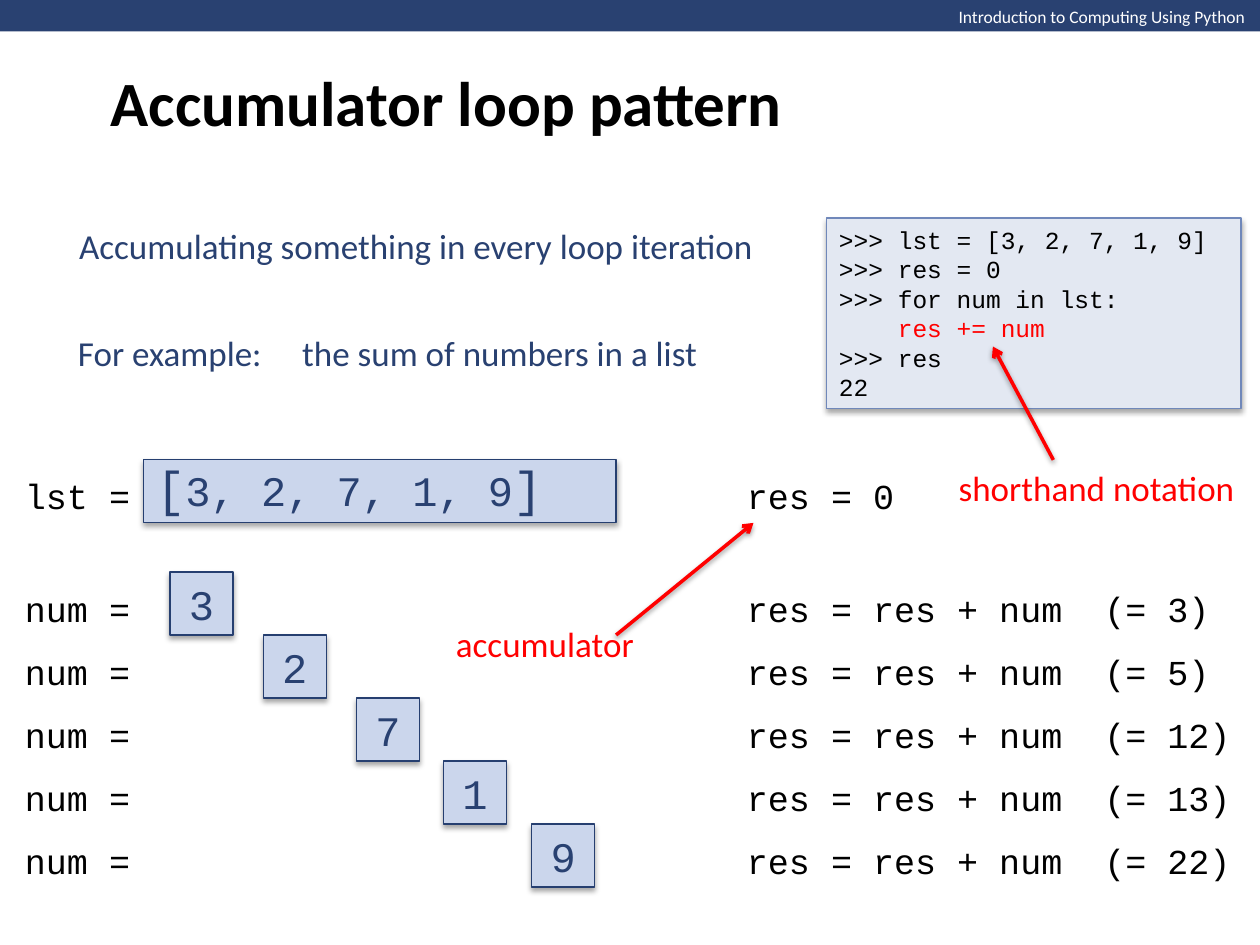
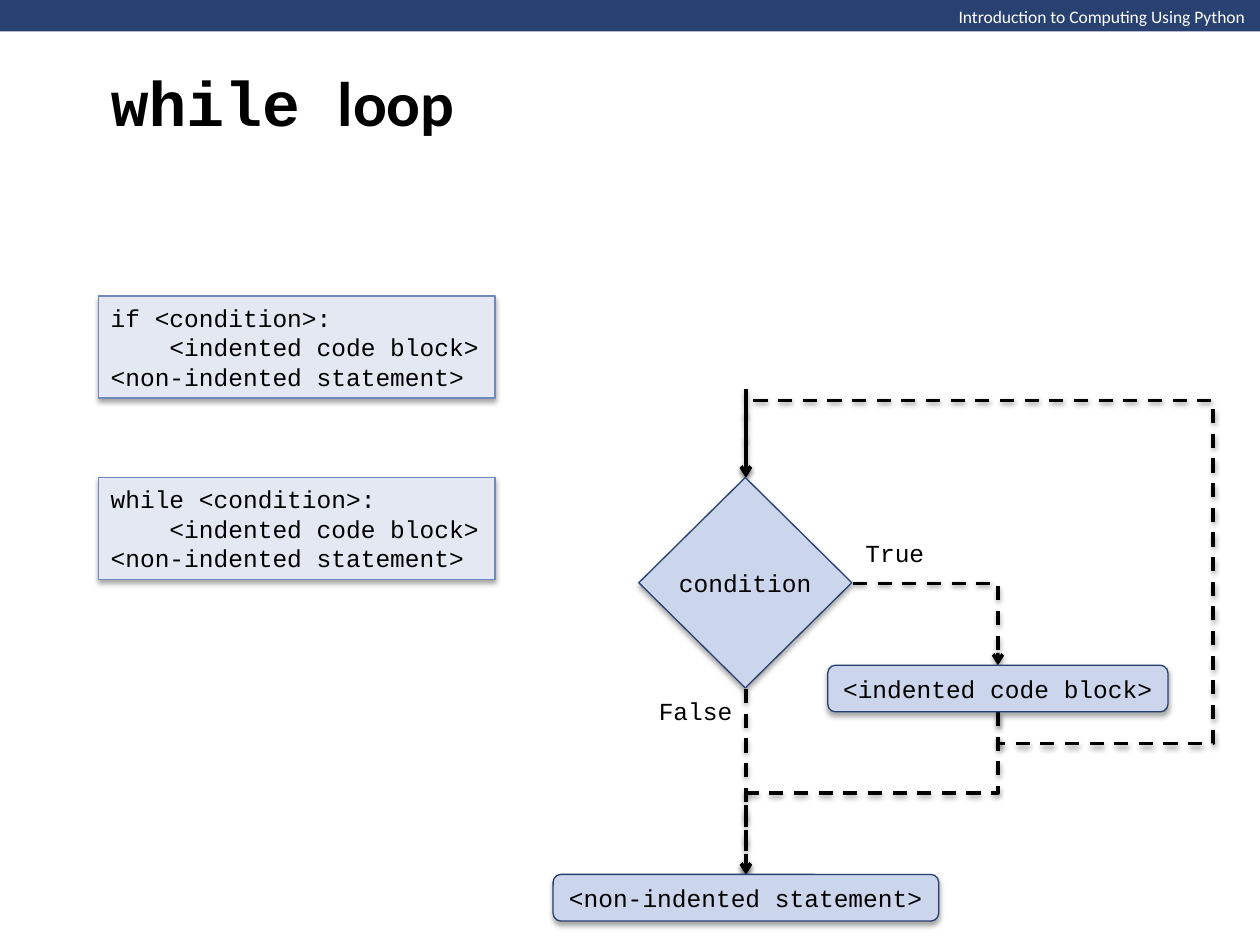
from lxml.etree import SubElement
from pptx import Presentation
from pptx.dml.color import RGBColor
from pptx.enum.dml import MSO_LINE
from pptx.enum.shapes import MSO_CONNECTOR, MSO_SHAPE
from pptx.enum.text import MSO_ANCHOR, PP_ALIGN
from pptx.oxml.ns import qn
from pptx.util import Inches, Pt

# Shared look
COLORS = {
    "navy": "294171", "box": "CBD6EC", "box_line": "263F70",
    "code": "E3E8F2", "code_line": "7088BA",
    "black": "000000", "white": "FFFFFF", "red": "FF0000",
}
SANS, MONO = "Calibri", "Courier New"
HEADER = "Introduction to Computing Using Python"

# Slide 1 content
PATTERN_TITLE = [("Accumulator loop pattern", SANS)]
INTRO = "Accumulating something in every loop iteration"
EXAMPLE = "For example:\tthe sum of numbers in a list"
LIST_RUNS = [("[", 28), ("3, 2, 7, 1, 9", 24), ("]", 28)]
SUM_CODE = [
    ">>> lst = [3, 2, 7, 1, 9]", ">>> res = 0", ">>> for num in lst:",
    "    res += num", ">>> res", "22",
]
SHORTHAND_LINE = "    res += num"
# Number, left edge of its box, running sum
STEPS = [(3, 1.35, 3), (2, 2.09, 5), (7, 2.83, 12), (1, 3.52, 13), (9, 4.22, 22)]
NOTES = [("accumulator", (3.52, 4.89, 1.63, 0.44)),
         ("shorthand notation", (7.51, 3.65, 2.41, 0.44))]
NOTE_ARROWS = [((4.89, 5.04), (5.98, 4.15)), ((8.36, 3.65), (7.88, 2.75))]

# Slide 2 content
WHILE_TITLE = [("while ", MONO), ("loop", SANS)]
BLOCK, AFTER = "<indented code block>", "<non-indented statement>"
STATEMENTS = [("if <condition>:", 2.35), ("while <condition>:", 3.79)]
NODES = [
    ("condition", MSO_SHAPE.FLOWCHART_DECISION, (5.07, 3.79, 1.69, 1.67)),
    (BLOCK, MSO_SHAPE.FLOWCHART_ALTERNATE_PROCESS, (6.57, 5.28, 2.7, 0.37)),
    (AFTER, MSO_SHAPE.FLOWCHART_ALTERNATE_PROCESS, (4.39, 6.94, 3.06, 0.37)),
]
BRANCH_LABELS = [("False", (5.13, 5.47, 0.79, 0.34)), ("True", (6.77, 4.22, 0.67, 0.34))]
ENTRY, DECISION_TOP, DECISION_BOTTOM = (5.92, 3.09), (5.92, 3.79), (5.92, 5.47)
DECISION_RIGHT, BLOCK_TOP, BLOCK_BOTTOM = (6.77, 4.63), (7.92, 5.28), (7.92, 5.65)
AFTER_TOP = (5.92, 6.94)
# Start, end, preset, rotation, mirrored, bend positions
BENT_ARROWS = [
    (BLOCK_BOTTOM, DECISION_TOP, "bentConnector5", 90, True, (-0.135, -0.854, 1.33)),
    (DECISION_RIGHT, BLOCK_TOP, "bentConnector2", 0, False, ()),
    (BLOCK_BOTTOM, AFTER_TOP, "bentConnector3", 90, False, (0.5,)),
]


def color(name):
    return RGBColor.from_string(COLORS[name])


def set_font(font, name, size, color_name, bold=False):
    font.name, font.size, font.bold = name, Pt(size), bold
    font.color.rgb = color(color_name)


def write(shape, lines, name=MONO, size=20, color_name="black", wrap=True,
          align=PP_ALIGN.LEFT, highlight=None):
    """Fill a shape with one paragraph per line."""
    frame = shape.text_frame
    frame.word_wrap = wrap
    frame.vertical_anchor = MSO_ANCHOR.MIDDLE
    for index, line in enumerate(lines):
        paragraph = frame.paragraphs[0] if index == 0 else frame.add_paragraph()
        paragraph.add_run().text = line
        paragraph.alignment = align
        set_font(paragraph.font, name, size, "red" if line == highlight else color_name)


def add_label(slide, text, place, **style):
    box = slide.shapes.add_textbox(*map(Inches, place))
    write(box, [text], **style)
    return box


def add_shadow(shape, opacity, distance):
    effects = SubElement(shape._element.spPr, qn("a:effectLst"))
    shadow = SubElement(effects, qn("a:outerShdw"), blurRad=str(Pt(3.1)),
                        dist=str(Pt(distance)), dir="5400000", rotWithShape="0")
    black = SubElement(shadow, qn("a:srgbClr"), val=COLORS["black"])
    SubElement(black, qn("a:alpha"), val=str(opacity * 1000))


def add_box(slide, place, kind=MSO_SHAPE.RECTANGLE, look="box"):
    shape = slide.shapes.add_shape(kind, *map(Inches, place))
    shape.fill.solid()
    shape.fill.fore_color.rgb = color(look)
    shape.line.color.rgb = color(look + "_line")
    shape.line.width = Pt(0.75)
    add_shadow(shape, 35, 1.8)
    return shape


def add_code(slide, place, lines, highlight=None):
    write(add_box(slide, place, look="code"), lines, size=14, highlight=highlight)


def add_arrow(slide, start, end, color_name="black", dashed=False,
              kind=MSO_CONNECTOR.STRAIGHT):
    arrow = slide.shapes.add_connector(kind, *map(Inches, start + end))
    arrow.line.color.rgb = color(color_name)
    arrow.line.width = Pt(2)
    if dashed:
        arrow.line.dash_style = MSO_LINE.DASH
    SubElement(arrow.line._get_or_add_ln(), qn("a:tailEnd"), type="arrow")
    add_shadow(arrow, 38, 1.6)
    return arrow


def add_bent_arrow(slide, start, end, preset, rotation, mirrored, bends):
    """Place the unturned frame around the midpoint, then turn and mirror it."""
    width, height = abs(end[0] - start[0]), abs(end[1] - start[1])
    if rotation:
        width, height = height, width
    left = (start[0] + end[0] - width) / 2
    top = (start[1] + end[1] - height) / 2
    arrow = add_arrow(slide, (left, top), (left + width, top + height),
                      dashed=True, kind=MSO_CONNECTOR.ELBOW)
    properties = arrow._element.spPr
    frame = properties.find(qn("a:xfrm"))
    frame.set("rot", str(rotation * 60000))
    if mirrored:
        frame.set("flipH", "1")
    geometry = properties.find(qn("a:prstGeom"))
    geometry.set("prst", preset)
    adjustments = geometry.find(qn("a:avLst"))
    if adjustments is None:
        adjustments = SubElement(geometry, qn("a:avLst"))
    for number, bend in enumerate(bends, 1):
        SubElement(adjustments, qn("a:gd"), name=f"adj{number}",
                   fmla=f"val {round(bend * 100000)}")


def start_slide(presentation, title_runs):
    """Add a slide with the header band and its title."""
    slide = presentation.slides.add_slide(presentation.slide_layouts[5])
    band = slide.shapes.add_shape(MSO_SHAPE.RECTANGLE, 0, 0,
                                  presentation.slide_width, Inches(0.25))
    band.fill.solid()
    band.fill.fore_color.rgb = color("navy")
    band.line.fill.background()
    band.shadow.inherit = False
    add_label(slide, HEADER, (7.51, 0, 2.5, 0.27), name=SANS, size=10,
              color_name="white", wrap=False)

    title = slide.shapes.title
    title.left, title.top, title.width, title.height = map(Inches, (0.78, 0, 8.5, 1.61))
    title.text_frame.vertical_anchor = MSO_ANCHOR.MIDDLE
    paragraph = title.text_frame.paragraphs[0]
    paragraph.alignment = PP_ALIGN.LEFT
    for text, name in title_runs:
        run = paragraph.add_run()
        run.text = text
        set_font(run.font, name, 36, "black", bold=True)
    return slide


def build_pattern_slide(presentation):
    slide = start_slide(presentation, PATTERN_TITLE)

    # Introduction, with the example aligned at a tab stop
    add_label(slide, INTRO, (0.53, 1.73, 5.9, 0.44), name=SANS, color_name="navy")
    example = add_label(slide, EXAMPLE, (0.52, 2.58, 5.62, 0.44), name=SANS,
                        color_name="navy")
    properties = example.text_frame.paragraphs[0]._p.get_or_add_pPr()
    tabs = properties.makeelement(qn("a:tabLst"))
    SubElement(tabs, qn("a:tab"), pos=str(Inches(1.78)), algn="l")
    properties.insert(0, tabs)
    add_code(slide, (6.56, 1.73, 3.29, 1.51), SUM_CODE, SHORTHAND_LINE)

    # Starting values
    add_label(slide, "lst =", (0.1, 3.71, 1.04, 0.44), wrap=False)
    add_label(slide, "res = 0", (5.83, 3.71, 2.22, 0.44))
    list_box = add_box(slide, (1.14, 3.65, 3.75, 0.5))
    list_box.text_frame.vertical_anchor = MSO_ANCHOR.BOTTOM
    paragraph = list_box.text_frame.paragraphs[0]
    paragraph.alignment = PP_ALIGN.JUSTIFY
    for text, size in LIST_RUNS:
        run = paragraph.add_run()
        run.text = text
        set_font(run.font, MONO, size, "navy")

    # One row per iteration
    for row, (number, left, total) in enumerate(STEPS):
        top = 4.54 + 0.5 * row
        add_label(slide, "num =", (0.1, top + 0.07, 1.04, 0.44), wrap=False)
        write(add_box(slide, (left, top, 0.5, 0.5)), [str(number)], size=24,
              color_name="navy", align=PP_ALIGN.CENTER)
        add_label(slide, f"res = res + num  (= {total})", (5.83, top + 0.07, 4.15, 0.44))

    # Red notes
    for start, end in NOTE_ARROWS:
        add_arrow(slide, start, end, "red")
    for text, place in NOTES:
        add_label(slide, text, place, name=SANS, color_name="red", wrap=False)


def build_while_slide(presentation):
    slide = start_slide(presentation, WHILE_TITLE)

    # Syntax of both statements
    for first_line, top in STATEMENTS:
        add_code(slide, (0.78, top, 3.15, 0.81), [first_line, "    " + BLOCK, AFTER])

    # Flowchart
    for bent_arrow in BENT_ARROWS:
        add_bent_arrow(slide, *bent_arrow)
    add_arrow(slide, ENTRY, DECISION_TOP, dashed=True)
    add_arrow(slide, DECISION_BOTTOM, AFTER_TOP, dashed=True)
    for text, kind, place in NODES:
        write(add_box(slide, place, kind), [text], size=14, wrap=False,
              align=PP_ALIGN.CENTER)
    for text, place in BRANCH_LABELS:
        add_label(slide, text, place, size=14, wrap=False)


def main():
    presentation = Presentation()
    presentation.slide_width, presentation.slide_height = Inches(10), Inches(7.5)
    build_pattern_slide(presentation)
    build_while_slide(presentation)
    presentation.save("out.pptx")


if __name__ == "__main__":
    main()
